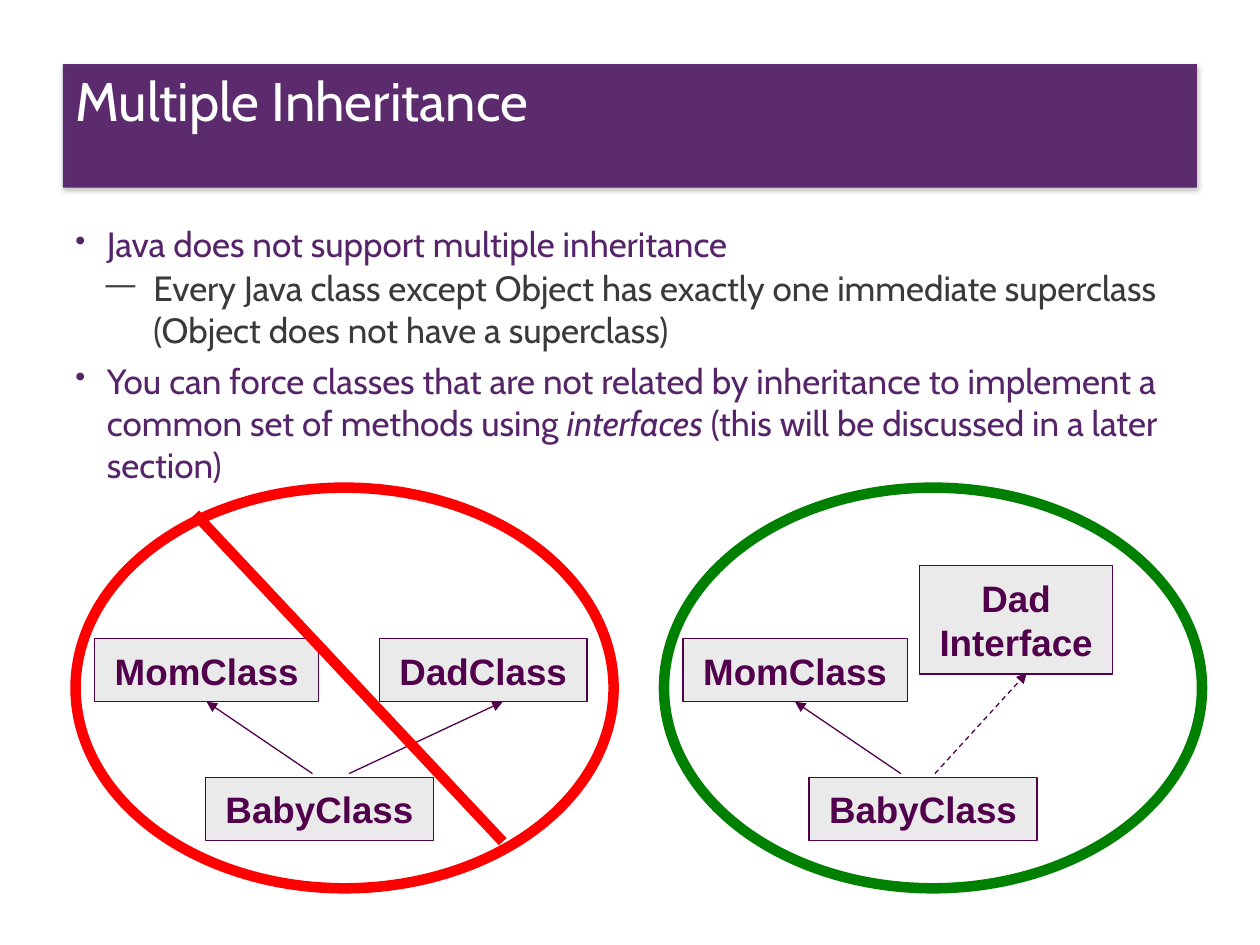
from dataclasses import dataclass

from lxml import etree
from pptx import Presentation
from pptx.dml.color import RGBColor
from pptx.enum.dml import MSO_LINE_DASH_STYLE as DASH
from pptx.enum.shapes import MSO_CONNECTOR as LINK, MSO_SHAPE as SHAPE
from pptx.enum.text import MSO_ANCHOR as ANCHOR, MSO_AUTO_SIZE as FIT, PP_ALIGN as ALIGN
from pptx.oxml import parse_xml
from pptx.oxml.ns import nsdecls, qn
from pptx.util import Inches, Pt


@dataclass(frozen=True)
class Theme:
    """Colours, fonts and type sizes of the slide."""
    purple: str = "562469"
    plum: str = "51004B"
    grey: str = "3A3A3A"
    pale: str = "EAEAEA"
    white: str = "FFFFFF"
    red: str = "FF0000"
    green: str = "008000"
    text_font: str = "Cabin"
    class_font: str = "Arial"
    title_size: int = 31
    body_size: int = 20
    class_size: int = 21
    thin: float = 0.75
    thick: float = 6


THEME = Theme()


def add_run(paragraph, text, size, color, font=THEME.text_font, bold=False, italic=False):
    """Append one styled run to a paragraph."""
    run = paragraph.add_run()
    run.text = text
    run.font.size, run.font.name = Pt(size), font
    run.font.bold, run.font.italic = bold, italic
    run.font.color.rgb = RGBColor.from_string(color)


def set_margins(frame, left, top, right, bottom):
    """Set the four text insets in inches."""
    frame.margin_left, frame.margin_top = Inches(left), Inches(top)
    frame.margin_right, frame.margin_bottom = Inches(right), Inches(bottom)


def add_title(slide, box, text):
    """Draw the title banner with its soft shadow."""
    banner = slide.shapes.add_shape(SHAPE.RECTANGLE, *map(Inches, box))
    banner.fill.solid()
    banner.fill.fore_color.rgb = RGBColor.from_string(THEME.purple)
    banner.line.fill.background()
    color = banner._element.spPr.find(qn("a:solidFill"))[0]
    etree.SubElement(color, qn("a:alpha")).set("val", "95000")
    banner._element.spPr.append(parse_xml(
        f'<a:effectLst {nsdecls("a")}><a:outerShdw blurRad="38100" dist="12700" dir="5400000">'
        '<a:srgbClr val="000000"><a:alpha val="25000"/></a:srgbClr></a:outerShdw></a:effectLst>'))
    frame = banner.text_frame
    frame.word_wrap, frame.vertical_anchor = True, ANCHOR.TOP
    set_margins(frame, 0.1, 0, 0.1, 0.05)
    paragraph = frame.paragraphs[0]
    paragraph.alignment, paragraph.line_spacing = ALIGN.LEFT, 1.05
    add_run(paragraph, text, THEME.title_size, THEME.white)


def add_body(slide, box, points):
    """Write two-level bullets given as (level, [(text, italic), ...])."""
    levels = (("•", 0.25, 0.25, 5, THEME.purple), ("—", 0.62, 0.38, 1, THEME.grey))
    frame = slide.shapes.add_textbox(*map(Inches, box)).text_frame
    frame.word_wrap = True
    for index, (level, pieces) in enumerate(points):
        mark, indent, hang, gap, color = levels[level]
        paragraph = frame.add_paragraph() if index else frame.paragraphs[0]
        paragraph.level, paragraph.space_before = level, Pt(gap)
        props = paragraph._p.get_or_add_pPr()
        props.set("marL", str(Inches(indent)))
        props.set("indent", str(-Inches(hang)))
        etree.SubElement(props, qn("a:buSzPct")).set("val", "85000")
        etree.SubElement(props, qn("a:buChar")).set("char", mark)
        for text, italic in pieces:
            add_run(paragraph, text, THEME.body_size, color, italic=italic)


def add_class(slide, box, lines):
    """Draw a class box with one centred paragraph per line."""
    class_box = slide.shapes.add_shape(SHAPE.RECTANGLE, *map(Inches, box))
    class_box.shadow.inherit = False
    class_box.fill.solid()
    class_box.fill.fore_color.rgb = RGBColor.from_string(THEME.pale)
    class_box.line.color.rgb = RGBColor.from_string(THEME.plum)
    class_box.line.width = Pt(THEME.thin)
    frame = class_box.text_frame
    frame.word_wrap, frame.auto_size = False, FIT.SHAPE_TO_FIT_TEXT
    set_margins(frame, 0.15, 0.07, 0.15, 0.07)
    for index, line in enumerate(lines):
        paragraph = frame.add_paragraph() if index else frame.paragraphs[0]
        paragraph.alignment = ALIGN.CENTER
        add_run(paragraph, line, THEME.class_size, THEME.plum, THEME.class_font, bold=True)
    return class_box


def add_line(slide, start, end, color, width, arrow=False, dashed=False):
    """Draw a straight line, optionally dashed or with an arrowhead."""
    line = slide.shapes.add_connector(LINK.STRAIGHT, *map(Inches, (*start, *end)))
    line.line.color.rgb = RGBColor.from_string(color)
    line.line.width = Pt(width)
    if dashed:
        line.line.dash_style = DASH.DASH
    if arrow:
        etree.SubElement(line.line._get_or_add_ln(), qn("a:tailEnd")).set("type", "triangle")
    etree.SubElement(line._element.spPr, qn("a:effectLst"))
    return line


def add_family(slide, box, ring_color, dad, dad_box, dad_arrow, baby_left,
               dashed=False, strike=None):
    """Draw a ringed class diagram; inner places are relative to the box."""
    left, top, _, _ = box

    def at(x, y):
        return left + x, top + y

    mom_box = add_class(slide, (*at(0.15, 1.2), 1.78, 0.5), ["MomClass"])
    add_class(slide, (*at(baby_left, 2.3), 1.81, 0.5), ["BabyClass"])
    add_class(slide, (*at(*dad_box[:2]), *dad_box[2:]), dad)
    start, end = dad_arrow
    add_line(slide, at(*start), at(*end), THEME.plum, THEME.thin, True, dashed)
    mom_arrow = add_line(slide, at(1.88, 2.27), at(1.04, 1.7), THEME.plum, THEME.thin, True)
    mom_arrow.end_connect(mom_box, 2)
    ring = slide.shapes.add_shape(SHAPE.OVAL, *map(Inches, box))
    ring.shadow.inherit = False
    ring.fill.background()
    ring.line.color.rgb = RGBColor.from_string(ring_color)
    ring.line.width = Pt(THEME.thick)
    if strike:
        add_line(slide, at(*strike[0]), at(*strike[1]), ring_color, THEME.thick)


def main():
    """Build and save the slide."""
    deck = Presentation()
    deck.slide_width, deck.slide_height = Inches(10), Inches(7.5)
    slide = deck.slides.add_slide(deck.slide_layouts[6])
    add_title(slide, (0.5, 0.51, 9, 0.98), "Multiple Inheritance")
    add_body(slide, (0.5, 1.72, 9, 5.52), [
        (0, [("Java does not support multiple inheritance", False)]),
        (1, [("Every Java class except Object has exactly one immediate superclass "
              "(Object does not have a superclass)", False)]),
        (0, [("You can force classes that are not related by inheritance to implement a "
              "common set of methods using ", False),
             ("interfaces", True),
             (" (this will be discussed in a later section)", False)]),
    ])
    add_family(slide, (0.6, 3.87, 4.27, 3.18), THEME.red, ["DadClass"],
               (2.41, 1.2, 1.65, 0.5), ((2.17, 2.27), (3.39, 1.7)), 1.03,
               strike=((0.95, 0.21), (3.39, 2.81)))
    add_family(slide, (5.27, 3.87, 4.27, 3.18), THEME.green, ["Dad", "Interface"],
               (2.03, 0.62, 1.53, 0.86), ((2.15, 2.27), (2.88, 1.47)), 1.15, dashed=True)
    deck.save("out.pptx")


if __name__ == "__main__":
    main()
